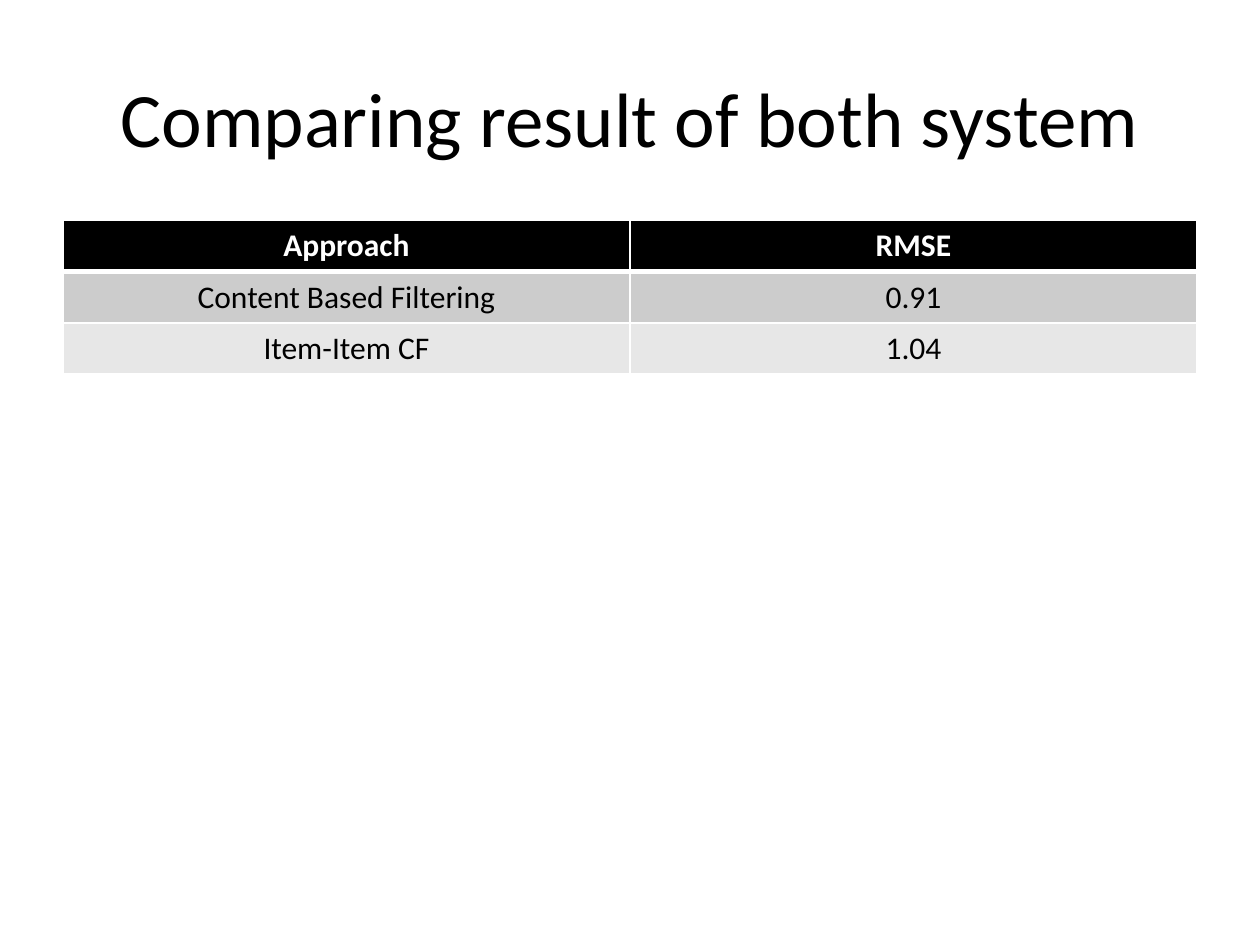
"""Build a slide that compares the error of two recommendation approaches."""
from lxml import etree
from pptx import Presentation
from pptx.dml.color import RGBColor
from pptx.enum import text
from pptx.oxml import ns
from pptx.util import Inches, Pt

COLORS = {"black": "000000", "white": "FFFFFF", "dark_band": "CCCCCC", "light_band": "E7E7E7"}
ROWS = [("Approach", "RMSE"), ("Content Based Filtering", "0.91"), ("Item-Item CF", "1.04")]
ROW_FILLS = ["black", "dark_band", "light_band"]


def format_text(text_frame, size, color, bold=False):
    paragraph = text_frame.paragraphs[0]
    paragraph.alignment = text.PP_ALIGN.CENTER
    font = paragraph.runs[0].font
    font.name, font.size, font.bold = "Calibri", Pt(size), bold
    font.color.rgb = RGBColor.from_string(COLORS[color])


def add_border(cell, side, width):
    properties = cell._tc.get_or_add_tcPr()
    line = etree.SubElement(properties, ns.qn(f"a:{side}"), w=str(Pt(width)))
    fill = etree.SubElement(line, ns.qn("a:solidFill"))
    etree.SubElement(fill, ns.qn("a:srgbClr"), val=COLORS["white"])


presentation = Presentation()
presentation.slide_width, presentation.slide_height = Inches(10), Inches(7.5)
slide = presentation.slides.add_slide(presentation.slide_layouts[6])

title = slide.shapes.add_textbox(Inches(0.5), Inches(0.3), Inches(9), Inches(1.25))
title.text_frame.word_wrap = True
title.text_frame.vertical_anchor = text.MSO_ANCHOR.MIDDLE
title.text_frame.text = "Comparing result of both system"
format_text(title.text_frame, 44, "black")

table = slide.shapes.add_table(
    len(ROWS), 2, Inches(0.5), Inches(1.75), Inches(9), Inches(1.22)
).table
for row_index, (values, fill_name) in enumerate(zip(ROWS, ROW_FILLS)):
    is_header = row_index == 0
    for column_index, value in enumerate(values):
        cell = table.cell(row_index, column_index)
        cell.text_frame.text = value
        format_text(cell.text_frame, 18, "white" if is_header else "black", is_header)
        widths = {"lnL": 1, "lnR": 1, "lnT": 3 if row_index == 1 else 1, "lnB": 3 if is_header else 1}
        for side, width in widths.items():
            add_border(cell, side, width)
        cell.fill.solid()
        cell.fill.fore_color.rgb = RGBColor.from_string(COLORS[fill_name])

presentation.save("out.pptx")
